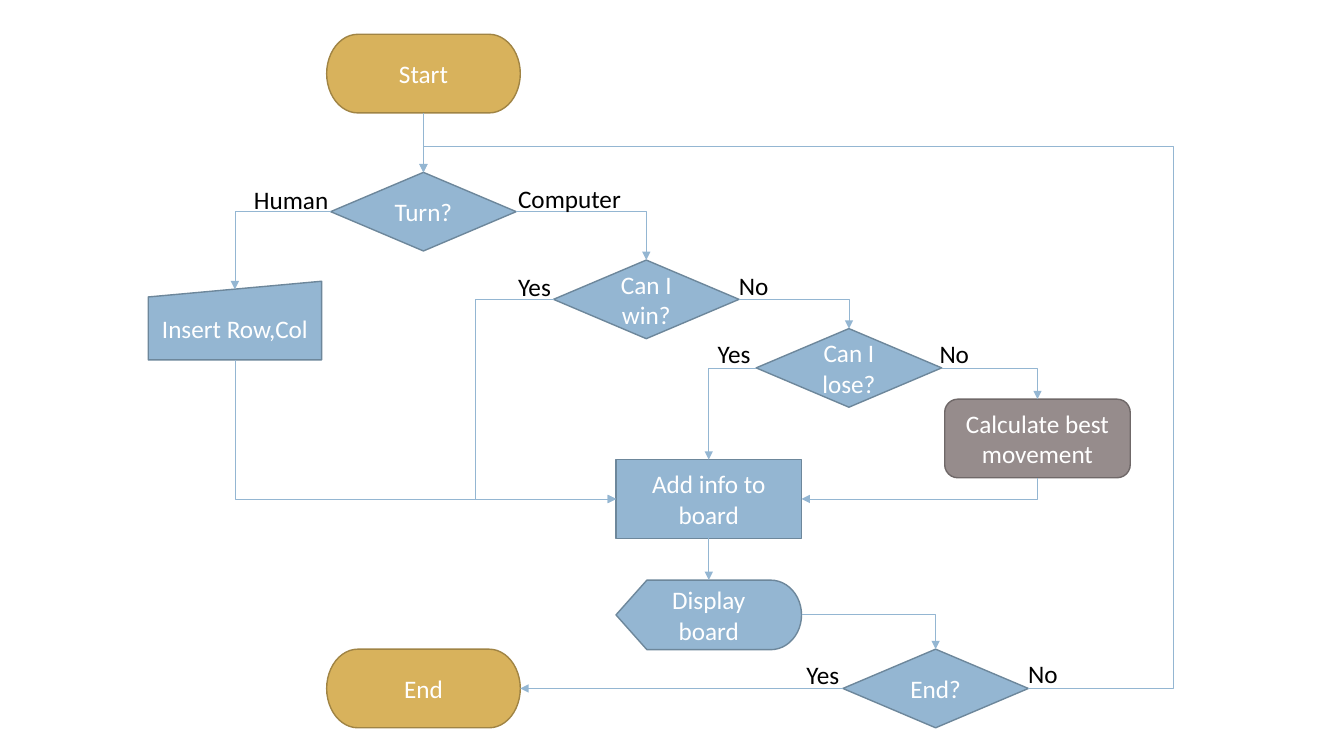
from pptx import Presentation
from pptx.dml.color import RGBColor
from pptx.enum.shapes import MSO_CONNECTOR, MSO_SHAPE
from pptx.enum.text import MSO_ANCHOR, MSO_AUTO_SIZE, PP_ALIGN
from pptx.oxml.ns import qn
from pptx.util import Inches, Pt
from lxml.etree import SubElement


def paint(fmt, color):
    fmt.solid()
    fmt.fore_color.rgb = RGBColor.from_string(color)


def write(frame, text, color, align):
    para = frame.paragraphs[0]
    para.text = text
    para.alignment = align
    para.font.size = Pt(18)
    para.font.name = "Calibri"
    paint(para.font.fill, color)


deck = Presentation()
deck.slide_width = Inches(13.33)
deck.slide_height = Inches(7.5)
slide = deck.slides.add_slide(deck.slide_layouts[6])
shapes = slide.shapes

GOLD = ("D8B25C", "A08444")
BLUE = ("94B6D2", "6D879B")
GREY = ("968C8C", "6F6868")

steps = [
    ("start", "Start", MSO_SHAPE.FLOWCHART_TERMINATOR, 4.2, 0.73, 1.92, 0.78, GOLD),
    ("add", "Add info to board", MSO_SHAPE.FLOWCHART_PROCESS, 7.03, 4.95, 1.84, 0.78, BLUE),
    ("turn", "Turn?", MSO_SHAPE.FLOWCHART_DECISION, 4.2, 2.1, 1.84, 0.78, BLUE),
    ("insert", "Insert Row,Col", MSO_SHAPE.FLOWCHART_MANUAL_INPUT, 2.33, 3.18, 1.72, 0.78, BLUE),
    ("win", "Can I win?", MSO_SHAPE.FLOWCHART_DECISION, 6.41, 2.97, 1.84, 0.78, BLUE),
    ("lose", "Can I lose?", MSO_SHAPE.FLOWCHART_DECISION, 8.42, 3.65, 1.84, 0.78, BLUE),
    ("best", "Calculate best movement", MSO_SHAPE.FLOWCHART_ALTERNATE_PROCESS,
     10.29, 4.35, 1.84, 0.78, GREY),
    ("show", "Display board", MSO_SHAPE.FLOWCHART_DISPLAY, 7.03, 6.1, 1.84, 0.69, BLUE),
    ("over", "End?", MSO_SHAPE.FLOWCHART_DECISION, 9.28, 6.83, 1.84, 0.78, BLUE),
    ("end", "End", MSO_SHAPE.FLOWCHART_TERMINATOR, 4.2, 6.83, 1.92, 0.78, GOLD),
]
nodes = {}
for key, text, kind, mid_x, mid_y, wide, high, (fill, edge) in steps:
    node = shapes.add_shape(kind, Inches(mid_x - wide / 2), Inches(mid_y - high / 2),
                            Inches(wide), Inches(high))
    node.shadow.inherit = False
    paint(node.fill, fill)
    paint(node.line.fill, edge)
    node.line.width = Pt(1)
    node.text_frame.vertical_anchor = MSO_ANCHOR.MIDDLE
    write(node.text_frame, text, "FFFFFF", PP_ALIGN.CENTER)
    nodes[key] = node

TOP, LEFT, DOWN, RIGHT = range(4)
flows = [
    ("start", DOWN, "turn", TOP, "line", []),
    ("turn", LEFT, "insert", TOP, "bentConnector2", []),
    ("turn", RIGHT, "win", TOP, "bentConnector2", []),
    ("win", LEFT, "add", LEFT, "bentConnector3", [-1.25]),
    ("win", RIGHT, "lose", TOP, "bentConnector2", []),
    ("lose", LEFT, "add", TOP, "bentConnector2", []),
    ("lose", RIGHT, "best", TOP, "bentConnector2", []),
    ("best", DOWN, "add", RIGHT, "bentConnector2", []),
    ("insert", DOWN, "add", LEFT, "bentConnector2", []),
    ("show", RIGHT, "over", TOP, "bentConnector2", []),
    ("over", RIGHT, "turn", TOP, "bentConnector4", [-0.24, 1.05]),
    ("add", DOWN, "show", TOP, "line", []),
    ("over", LEFT, "end", RIGHT, "line", []),
]
for tail, out, head, into, bend, shifts in flows:
    kind = MSO_CONNECTOR.STRAIGHT if bend == "line" else MSO_CONNECTOR.ELBOW
    flow = shapes.add_connector(kind, 0, 0, 0, 0)
    flow.begin_connect(nodes[tail], out)
    flow.end_connect(nodes[head], into)
    if head == "insert":
        flow.end_y = Inches(2.87)
    props = flow._element.spPr
    geom = props.find(qn("a:prstGeom"))
    geom.set("prst", bend)
    guides = geom.find(qn("a:avLst"))
    for num, shift in enumerate(shifts, 1):
        SubElement(guides, qn("a:gd"), name=f"adj{num}", fmla=f"val {round(shift * 100000)}")
    if bend == "bentConnector2" and out == DOWN:
        east = flow.end_x > flow.begin_x
        mid_x = flow.left + flow.width // 2
        mid_y = flow.top + flow.height // 2
        flow.width, flow.height = flow.height, flow.width
        flow.left = mid_x - flow.width // 2
        flow.top = mid_y - flow.height // 2
        frame = props.find(qn("a:xfrm"))
        frame.set("rot", "5400000")
        frame.set("flipH", "0")
        frame.set("flipV", str(int(east)))
    paint(flow.line.fill, "94B6D2")
    flow.line.width = Pt(0.5)
    SubElement(props.find(qn("a:ln")), qn("a:tailEnd"), type="triangle")
    SubElement(props, qn("a:effectLst"))

labels = [
    ("Human", 2.42, 1.78, 0.95),
    ("Computer", 5.04, 1.77, 1.23),
    ("Yes", 5.04, 2.64, 0.53),
    ("No", 7.23, 2.63, 0.5),
    ("Yes", 7.02, 3.31, 0.53),
    ("No", 9.22, 3.31, 0.5),
    ("Yes", 7.9, 6.49, 0.53),
    ("No", 10.1, 6.48, 0.5),
]
for text, left, top, wide in labels:
    label = shapes.add_textbox(Inches(left), Inches(top), Inches(wide), Inches(0.4))
    label.text_frame.word_wrap = False
    label.text_frame.auto_size = MSO_AUTO_SIZE.SHAPE_TO_FIT_TEXT
    write(label.text_frame, text, "000000", PP_ALIGN.LEFT)

deck.save("out.pptx")
